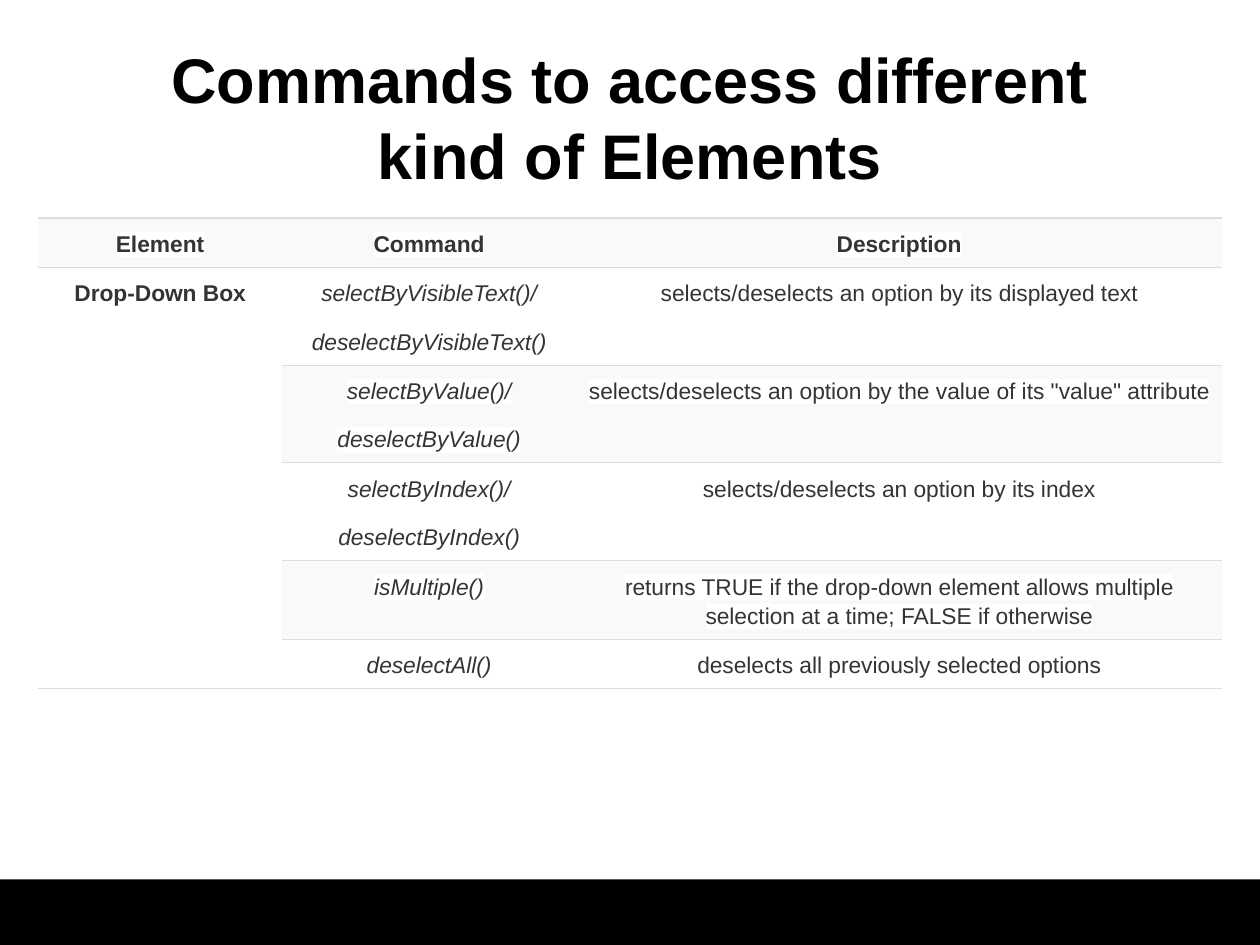
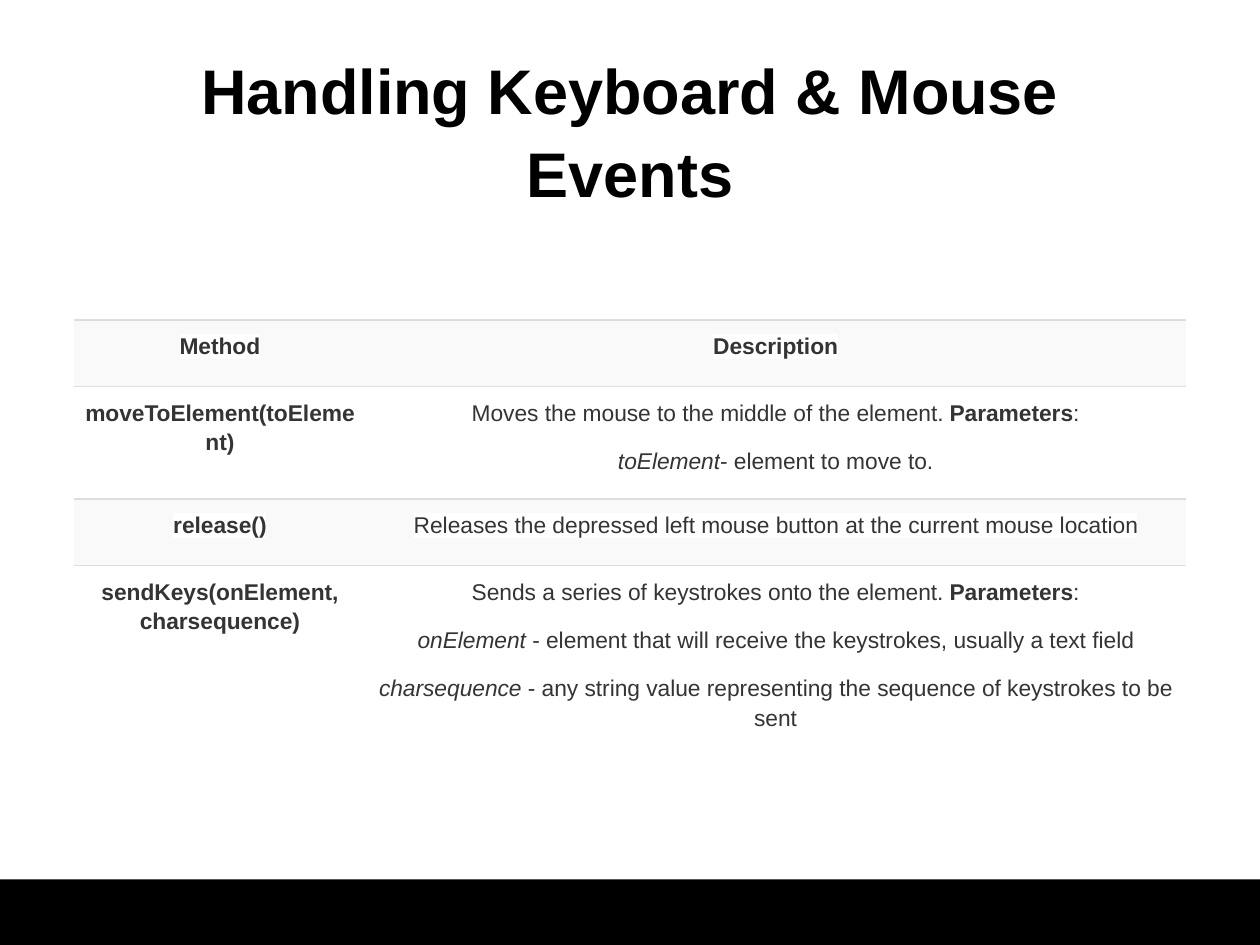
from dataclasses import dataclass
from typing import NamedTuple

from lxml.etree import SubElement
from pptx import Presentation
from pptx.dml.color import RGBColor
from pptx.enum.shapes import MSO_SHAPE as Shape
from pptx.enum.text import MSO_ANCHOR as Anchor, PP_ALIGN as Align
from pptx.oxml.ns import qn
from pptx.util import Inches, Pt

FONT = "Arial"
BLACK, WHITE = "000000", "FFFFFF"
TEXT, STRIPE, RULE = "343434", "F9F9F9", "DDDDDD"
SLIDE_WIDTH, SLIDE_HEIGHT, BAND_TOP = 10, 7.5, 6.98


class Span(NamedTuple):
    """A piece of text with one style."""
    text: str
    bold: bool = False
    italic: bool = False


Line = tuple[Span, ...]
Content = tuple[Line, ...]


@dataclass
class Title:
    """A slide title and its place."""
    text: str
    top: float
    spacing: float


@dataclass
class Grid:
    """A striped table; a first column can span the body rows."""
    left: float
    top: float
    widths: list[float]
    heights: list[float]
    rows: list[list[Content]]
    spans_body: bool
    closed: bool


def plain(*texts: str) -> Content:
    """Return one plain paragraph per text."""
    return tuple((Span(text),) for text in texts)


def bold(text: str) -> Content:
    """Return one bold paragraph."""
    return ((Span(text, bold=True),),)


def italic(*texts: str) -> Content:
    """Return one italic paragraph per text."""
    return tuple((Span(text, italic=True),) for text in texts)


def with_parameters(summary: str, *parameters: tuple[str, str]) -> Content:
    """Return a summary followed by a paragraph per parameter."""
    intro = (Span(summary + " "), Span("Parameters", bold=True), Span(":"))
    return (intro, *((Span(name, italic=True), Span(note)) for name, note in parameters))


def colour(value: str) -> RGBColor:
    """Turn a hex string into a colour."""
    return RGBColor.from_string(value)


def set_font(font, size: float, value: str) -> None:
    """Set the shared face with a size and colour."""
    font.name = FONT
    font.size = Pt(size)
    font.color.rgb = colour(value)


def add_solid(parent, value: str) -> None:
    """Append a solid fill to an XML element."""
    SubElement(SubElement(parent, qn("a:solidFill")), qn("a:srgbClr"), val=value)


def add_band(page) -> None:
    """Draw the black footer band."""
    band = page.shapes.add_shape(
        Shape.RECTANGLE, 0, Inches(BAND_TOP),
        Inches(SLIDE_WIDTH), Inches(SLIDE_HEIGHT - BAND_TOP))
    band.shadow.inherit = False
    band.fill.solid()
    band.fill.fore_color.rgb = colour(BLACK)
    band.line.fill.background()


def add_title(page, title: Title) -> None:
    """Write the centred slide title."""
    box = page.shapes.add_textbox(Inches(0.75), Inches(title.top), Inches(8.5), Inches(1.61))
    frame = box.text_frame
    frame.word_wrap = True
    frame.vertical_anchor = Anchor.MIDDLE
    frame.margin_left = frame.margin_right = Inches(0.1)
    frame.margin_top = frame.margin_bottom = Inches(0.1)
    para = frame.paragraphs[0]
    para.text = title.text
    para.alignment = Align.CENTER
    para.line_spacing = title.spacing
    set_font(para.font, 36, BLACK)
    para.font.bold = True


def write_line(para, line: Line) -> None:
    """Write the spans of one table paragraph."""
    para.alignment = Align.CENTER
    para.line_spacing = 1.15
    para.space_after = Pt(11)
    set_font(para.font, 13, TEXT)
    for span in line:
        run = para.add_run()
        run.text = span.text
        font = para.font if len(line) == 1 else run.font
        font.bold, font.italic = span.bold, span.italic
        highlight = SubElement(run._r.get_or_add_rPr(), qn("a:highlight"))
        SubElement(highlight, qn("a:srgbClr"), val=WHITE)


def set_borders(cell, bottom: bool) -> None:
    """Rule the cell above and, if asked, below."""
    properties = cell._tc.get_or_add_tcPr()
    for side, ruled in (("L", False), ("R", False), ("T", True), ("B", bottom)):
        edge = SubElement(properties, qn(f"a:ln{side}"), w=str(Pt(0.75)))
        if ruled:
            add_solid(edge, RULE)
        else:
            SubElement(edge, qn("a:noFill"))


def fill_cell(cell, content: Content, fill: str, bottom: bool) -> None:
    """Style one cell and write its paragraphs."""
    set_borders(cell, bottom)
    cell.fill.solid()
    cell.fill.fore_color.rgb = colour(fill)
    cell.margin_left = cell.margin_right = Inches(0.08)
    cell.margin_top = cell.margin_bottom = Inches(0.08)
    frame = cell.text_frame
    for index, line in enumerate(content):
        write_line(frame.add_paragraph() if index else frame.paragraphs[0], line)


def add_grid(page, grid: Grid) -> None:
    """Draw the striped table."""
    table = page.shapes.add_table(
        len(grid.heights), len(grid.widths), Inches(grid.left), Inches(grid.top),
        Inches(sum(grid.widths)), Inches(sum(grid.heights))).table
    table.first_row = table.horz_banding = False
    for column, width in zip(table.columns, grid.widths):
        column.width = Inches(width)
    for row, height in zip(table.rows, grid.heights):
        row.height = Inches(height)
    last = len(grid.rows) - 1
    if grid.spans_body:
        table.cell(1, 0).merge(table.cell(last, 0))
    for row_index, contents in enumerate(grid.rows):
        fill = WHITE if row_index % 2 else STRIPE
        first = len(grid.widths) - len(contents)
        for column_index, content in enumerate(contents, first):
            bottom = row_index < last or grid.closed
            fill_cell(table.cell(row_index, column_index), content, fill, bottom)


SLIDES = [
    (Title("Commands to access different kind of Elements", 0.12, 1.0),
     Grid(0.3, 1.73, [1.94, 2.33, 5.13], [0.28, 0.48, 0.48, 0.48, 0.4, 0.28], [
         [bold("Element"), bold("Command"), bold("Description")],
         [bold("Drop-Down Box"),
          italic("selectByVisibleText()/", "deselectByVisibleText()"),
          plain("selects/deselects an option by its displayed text")],
         [italic("selectByValue()/", "deselectByValue()"),
          plain('selects/deselects an option by the value of its "value" attribute')],
         [italic("selectByIndex()/", "deselectByIndex()"),
          plain("selects/deselects an option by its index")],
         [italic("isMultiple()"),
          plain("returns TRUE if the drop-down element allows multiple "
                "selection at a time; FALSE if otherwise")],
         [italic("deselectAll()"), plain("deselects all previously selected options")],
     ], spans_body=True, closed=True)),
    (Title("Handling Keyboard & Mouse Events", 0.2, 1.1),
     Grid(0.59, 2.54, [2.31, 6.51], [0.53, 0.89, 0.53, 1.47], [
         [bold("Method"), bold("Description")],
         [bold("moveToElement(toElement)"),
          with_parameters("Moves the mouse to the middle of the element.",
                          ("toElement", "- element to move to."))],
         [bold("release()"),
          plain("Releases the depressed left mouse button at the current mouse location")],
         [bold("sendKeys(onElement, charsequence)"),
          with_parameters(
              "Sends a series of keystrokes onto the element.",
              ("onElement ", "- element that will receive the keystrokes, usually a text field"),
              ("charsequence ", "- any string value representing the sequence "
                                "of keystrokes to be sent"))],
     ], spans_body=False, closed=False)),
]


def main() -> None:
    """Build and save the deck."""
    deck = Presentation()
    deck.slide_width, deck.slide_height = Inches(SLIDE_WIDTH), Inches(SLIDE_HEIGHT)
    for title, grid in SLIDES:
        page = deck.slides.add_slide(deck.slide_layouts[6])
        add_band(page)
        add_grid(page, grid)
        add_title(page, title)
    deck.save("out.pptx")


if __name__ == "__main__":
    main()
